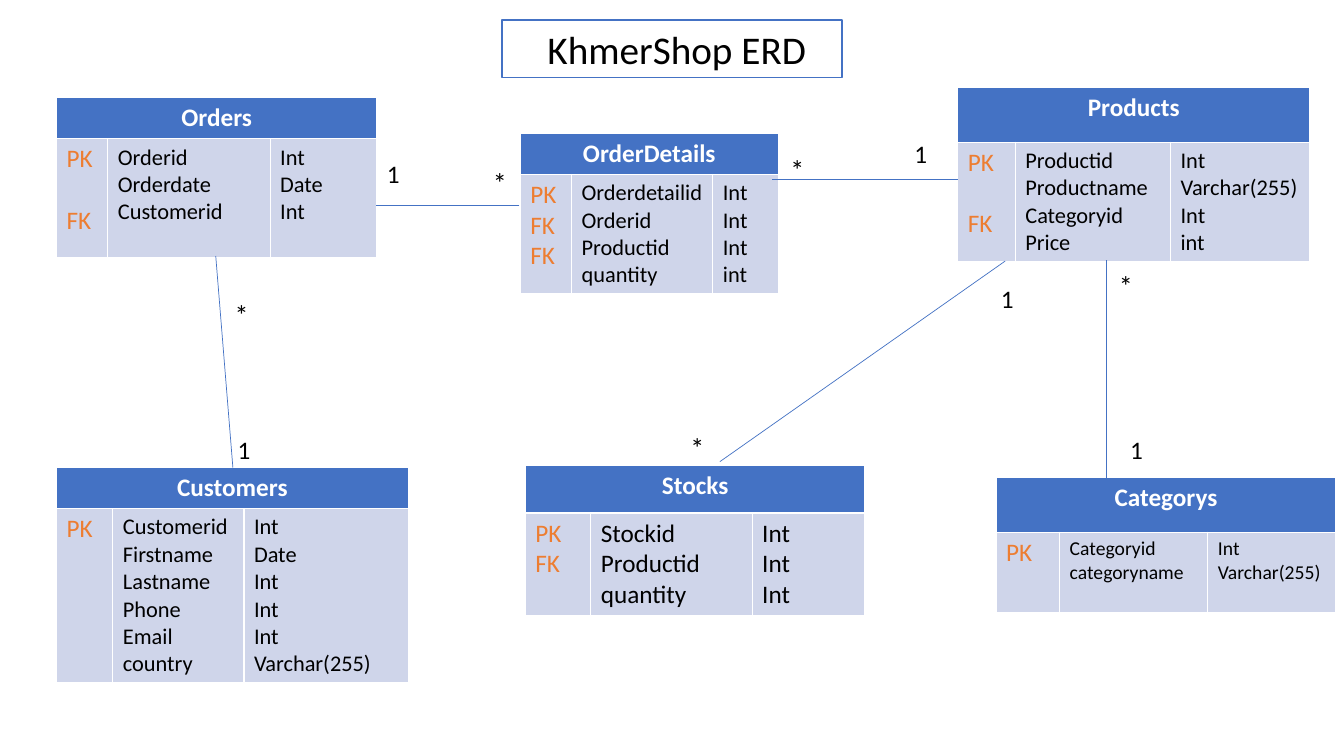
import pptx
import pptx.dml.color
import pptx.enum.shapes
import pptx.enum.text
import pptx.oxml.ns
import pptx.util
from lxml import etree

Inches = pptx.util.Inches
Pt = pptx.util.Pt
RGBColor = pptx.dml.color.RGBColor
PP_ALIGN = pptx.enum.text.PP_ALIGN

BLUE = RGBColor(0x44, 0x72, 0xC4)
PALE_BLUE = RGBColor(0xCF, 0xD5, 0xEA)
ORANGE = RGBColor(0xED, 0x7D, 0x31)
WHITE = RGBColor(0xFF, 0xFF, 0xFF)
BLACK = RGBColor(0x00, 0x00, 0x00)
FONT = "Calibri"
KEY_SIZE = 18
KEY_LINE = 22  # height in points of one line of keys

# name, (left, top), column widths, row heights, field size, keys, fields, types
# An empty key leaves its line free.
ENTITIES = [
    ("Orders", (0.56, 0.97), (0.51, 1.61, 1.06), (0.4, 1.18), 16,
     ["PK", "", "FK"],
     ["Orderid", "Orderdate", "Customerid"],
     ["Int", "Date", "Int"]),
    ("Categorys", (9.88, 4.74), (0.63, 1.47, 1.27), (0.54, 0.8), 14,
     ["PK"],
     ["Categoryid", "categoryname"],
     ["Int", "Varchar(255)"]),
    ("Products", (9.5, 0.87), (0.57, 1.54, 1.38), (0.54, 1.17), 16,
     ["PK", "", "FK"],
     ["Productid", "Productname", "Categoryid", "Price"],
     ["Int", "Varchar(255)", "Int", "int"]),
    ("OrderDetails", (5.16, 1.32), (0.51, 1.4, 0.65), (0.41, 1.17), 16,
     ["PK", "FK", "FK"],
     ["Orderdetailid", "Orderid", "Productid", "quantity"],
     ["Int", "Int", "Int", "int"]),
    ("Stocks", (5.21, 4.62), (0.65, 1.6, 1.12), (0.47, 1.0), 18,
     ["PK", "FK"],
     ["Stockid", "Productid", "quantity"],
     ["Int", "Int", "Int"]),
    ("Customers", (0.56, 4.64), (0.56, 1.3, 1.63), (0.4, 1.7), 16,
     ["PK"],
     ["Customerid", "Firstname", "Lastname", "Phone", "Email", "country"],
     ["Int", "Date", "Int", "Int", "Int", "Varchar(255)"]),
]

# line start, line end, place of the "1", place of the "*"
RELATIONS = [
    ((10.97, 2.58), (10.97, 4.77), (11.11, 4.26), (11, 2.61)),
    ((9.97, 2.59), (7.14, 4.58), (9.83, 2.76), (6.75, 4.22)),
    ((5.15, 2.04), (3.73, 2.04), (3.74, 1.52), (4.79, 1.59)),
    ((9.5, 1.78), (7.66, 1.78), (8.97, 1.32), (7.74, 1.46)),
    ((2.14, 2.54), (2.31, 4.64), (2.26, 4.26), (2.23, 2.9)),
]


def format_text(text_frame, size, color, bold=False):
    for paragraph in text_frame.paragraphs:
        for run in paragraph.runs:
            run.font.name = FONT
            run.font.size = Pt(size)
            run.font.bold = bold
            run.font.color.rgb = color


def add_heading(slide, left, top, width, height):
    heading = slide.shapes.title
    heading.left, heading.top = Inches(left), Inches(top)
    heading.width, heading.height = Inches(width), Inches(height)
    heading.line.color.rgb = BLUE
    heading.line.width = Pt(1)
    frame = heading.text_frame
    frame.text = "KhmerShop ERD"
    frame.auto_size = pptx.enum.text.MSO_AUTO_SIZE.NONE
    frame.vertical_anchor = pptx.enum.text.MSO_ANCHOR.MIDDLE
    frame.margin_left = Inches(0.45)
    frame.paragraphs[0].alignment = PP_ALIGN.LEFT
    format_text(frame, 28, BLACK)


def fill_keys(cell, keys):
    cell.text_frame.text = "\n".join(key for key in keys if key)
    lines = [line for line, key in enumerate(keys) if key]
    for paragraph, previous, line in zip(
            cell.text_frame.paragraphs[1:], lines, lines[1:]):
        paragraph.space_before = Pt(KEY_LINE * (line - previous - 1))
    format_text(cell.text_frame, KEY_SIZE, ORANGE)


def add_entity(slide, name, corner, widths, heights, size, keys, fields, types):
    left, top = corner
    table = slide.shapes.add_table(
        2, 3, Inches(left), Inches(top),
        Inches(sum(widths)), Inches(sum(heights))).table
    table.horz_banding = False
    for column, width in zip(table.columns, widths):
        column.width = Inches(width)
    for row, height, color in zip(table.rows, heights, (BLUE, PALE_BLUE)):
        row.height = Inches(height)
        for cell in row.cells:
            cell.fill.solid()
            cell.fill.fore_color.rgb = color

    # Header across all columns
    header = table.cell(0, 0)
    header.merge(table.cell(0, 2))
    header.text_frame.text = name
    header.text_frame.paragraphs[0].alignment = PP_ALIGN.CENTER
    format_text(header.text_frame, 18, WHITE, bold=True)

    # Keys, field names and data types
    fill_keys(table.cell(1, 0), keys)
    for column, entries in ((1, fields), (2, types)):
        frame = table.cell(1, column).text_frame
        frame.text = "\n".join(entries)
        format_text(frame, size, BLACK)


def add_multiplicity(slide, corner, symbol, size, height):
    left, top = corner
    label = slide.shapes.add_textbox(
        Inches(left), Inches(top), Inches(0.54), Inches(height))
    label.text_frame.word_wrap = True
    label.text_frame.text = symbol
    format_text(label.text_frame, size, BLACK)


def add_relation(slide, start, end, one, many):
    relation = slide.shapes.add_connector(
        pptx.enum.shapes.MSO_CONNECTOR.STRAIGHT,
        *(Inches(length) for length in start + end))
    relation.line.color.rgb = BLUE
    relation.line.width = Pt(0.5)
    properties = relation._element.spPr
    etree.SubElement(properties, pptx.oxml.ns.qn("a:effectLst"))
    add_multiplicity(slide, one, "1", 18, 0.4)
    add_multiplicity(slide, many, "*", 20, 0.44)


def main():
    presentation = pptx.Presentation()
    presentation.slide_width = Inches(13.33)
    presentation.slide_height = Inches(7.5)
    slide = presentation.slides.add_slide(presentation.slide_layouts[5])

    add_heading(slide, 4.98, 0.2, 3.37, 0.57)
    for entity in ENTITIES:
        add_entity(slide, *entity)
    for relation in RELATIONS:
        add_relation(slide, *relation)

    presentation.save("out.pptx")


if __name__ == "__main__":
    main()
